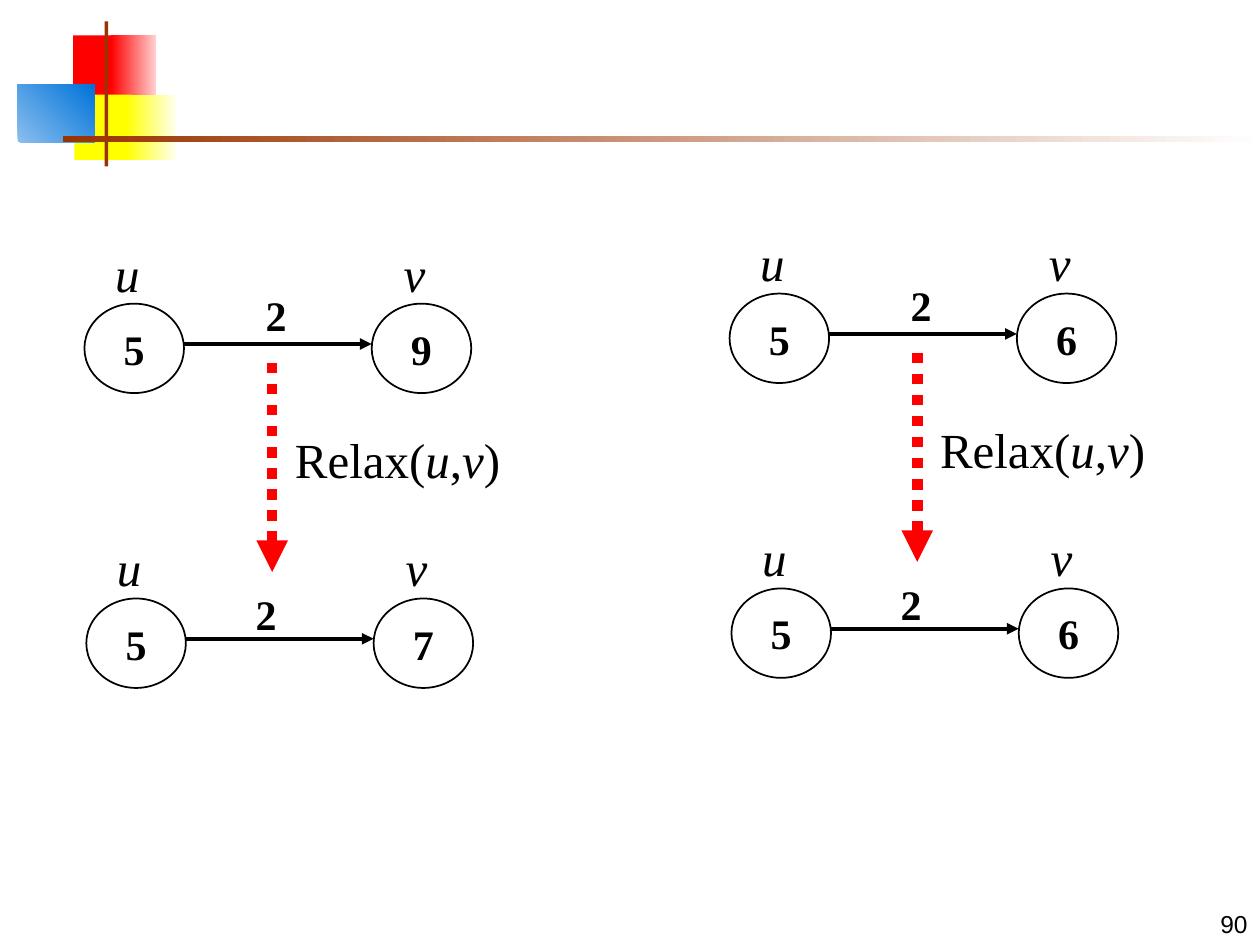
from lxml.etree import SubElement
from pptx import Presentation
from pptx.dml.color import RGBColor
from pptx.enum.dml import MSO_LINE
from pptx.enum.shapes import MSO_CONNECTOR, MSO_SHAPE
from pptx.enum.text import MSO_ANCHOR, PP_ALIGN
from pptx.oxml.ns import qn
from pptx.util import Inches, Pt

BLACK = RGBColor(0x00, 0x00, 0x00)
WHITE = RGBColor(0xFF, 0xFF, 0xFF)
RED = RGBColor(0xFF, 0x00, 0x00)
PINK = RGBColor(0xFF, 0xD1, 0xD1)
YELLOW = RGBColor(0xFF, 0xFF, 0x00)
IVORY = RGBColor(0xFF, 0xFF, 0xF0)
SKY = RGBColor(0x8B, 0xBF, 0xEE)
BLUE = RGBColor(0x00, 0x73, 0xD9)
BROWN = RGBColor(0x99, 0x33, 0x00)
SERIF = "Times New Roman"

# left, top, width, height, colours (two make a gradient), gradient angle
DECORATION = [
    (0.58, 0.28, 0.35, 0.52, [RED], 0),
    (0.88, 0.28, 0.36, 0.52, [RED, PINK], 0),
    (0.59, 0.75, 0.46, 0.52, [YELLOW], 0),
    (1.00, 0.75, 0.40, 0.52, [YELLOW, IVORY], 0),
    (0.14, 0.67, 0.61, 0.46, [SKY, BLUE], 45),
    (0.83, 0.17, 0.03, 1.15, [BROWN], 0),
    (0.50, 1.08, 9.50, 0.05, [BROWN, WHITE], 0),
]

# Each example: left, top, (u, v) before relaxing, (u, v) after
EXAMPLES = [
    (0.67, 2.41, ("5", "9"), ("5", "7")),
    (5.79, 2.33, ("5", "6"), ("5", "6")),
]
EDGE_WEIGHT = "2"
# text, italic
RELAX_CALL = [("Relax(", False), ("u", True), (",", False), ("v", True), (")", False)]
PAGE_NUMBER = "90"

NODE_WIDTH, NODE_HEIGHT = 0.79, 0.71
NODE_STEP = 2.28
# Offsets from an example's corner to its second edge
AFTER_X, AFTER_Y = 0.015, 2.34


def write(shape, runs, size, bold=False, font=SERIF, align=PP_ALIGN.CENTER,
          anchor=MSO_ANCHOR.TOP):
    frame = shape.text_frame
    frame.word_wrap = False
    frame.vertical_anchor = anchor
    paragraph = frame.paragraphs[0]
    paragraph.alignment = align
    for text, italic in runs:
        run = paragraph.add_run()
        run.text = text
        run.font.name = font
        run.font.size = Pt(size)
        run.font.bold = bold
        run.font.italic = italic
        run.font.color.rgb = BLACK


def add_label(slide, left, top, width, height, runs, size, **style):
    box = slide.shapes.add_textbox(*map(Inches, (left, top, width, height)))
    write(box, runs, size, **style)


def add_arrow(slide, start, end, color, width, dash=None):
    arrow = slide.shapes.add_connector(
        MSO_CONNECTOR.STRAIGHT, *map(Inches, (*start, *end)))
    arrow.line.color.rgb = color
    arrow.line.width = Pt(width)
    if dash:
        arrow.line.dash_style = dash
    SubElement(arrow.line._get_or_add_ln(), qn("a:tailEnd"), type="triangle")
    SubElement(arrow._element.spPr, qn("a:effectLst"))


def add_decoration(slide):
    for left, top, width, height, colors, angle in DECORATION:
        block = slide.shapes.add_shape(
            MSO_SHAPE.RECTANGLE, *map(Inches, (left, top, width, height)))
        block.shadow.inherit = False
        block.line.fill.background()
        if len(colors) == 1:
            block.fill.solid()
            block.fill.fore_color.rgb = colors[0]
        else:
            block.fill.gradient()
            block.fill.gradient_angle = angle
            for stop, color in zip(block.fill.gradient_stops, colors):
                stop.color.rgb = color


def add_node(slide, left, top, distance):
    node = slide.shapes.add_shape(
        MSO_SHAPE.OVAL, *map(Inches, (left, top, NODE_WIDTH, NODE_HEIGHT)))
    node.shadow.inherit = False
    node.fill.solid()
    node.fill.fore_color.rgb = WHITE
    node.line.color.rgb = BLACK
    node.line.width = Pt(1)
    write(node, [(distance, False)], 24, bold=True, anchor=MSO_ANCHOR.MIDDLE)


def add_edge(slide, left, top, distances, weight_x, weight_y):
    """Draw nodes u and v with their distances, and the weighted edge between."""
    names = [("u", 0.145, 0.39), ("v", 0.155, 0.37)]
    for index, (distance, (name, inset, width)) in enumerate(zip(distances, names)):
        node_left = left + index * NODE_STEP
        add_node(slide, node_left, top, distance)
        add_label(slide, node_left + inset, top - 0.53, width, 0.57, [(name, True)], 28)
    edge_y = top + 0.32
    add_arrow(slide, (left + NODE_WIDTH, edge_y), (left + NODE_STEP, edge_y), BLACK, 2.25)
    add_label(slide, left + weight_x, top + weight_y, 0.36, 0.5,
              [(EDGE_WEIGHT, False)], 24, bold=True)


def add_example(slide, left, top, before, after):
    add_edge(slide, left, top, before, 1.34, -0.16)
    add_edge(slide, left + AFTER_X, top + AFTER_Y, after, 1.245, -0.13)
    relax_x = left + 1.49
    add_arrow(slide, (relax_x, top + 0.47), (relax_x, top + 2.13),
              RED, 6, MSO_LINE.ROUND_DOT)
    add_label(slide, left + 1.57, top + 0.95, 1.83, 0.57, RELAX_CALL, 28)


def main():
    presentation = Presentation()
    presentation.slide_width = Inches(10)
    presentation.slide_height = Inches(7.5)
    slide = presentation.slides.add_slide(presentation.slide_layouts[6])
    add_decoration(slide)
    add_label(slide, 7.92, 7, 2.08, 0.5, [(PAGE_NUMBER, False)], 14, font="Arial",
              align=PP_ALIGN.RIGHT, anchor=MSO_ANCHOR.BOTTOM)
    for example in EXAMPLES:
        add_example(slide, *example)
    presentation.save("out.pptx")


if __name__ == "__main__":
    main()
